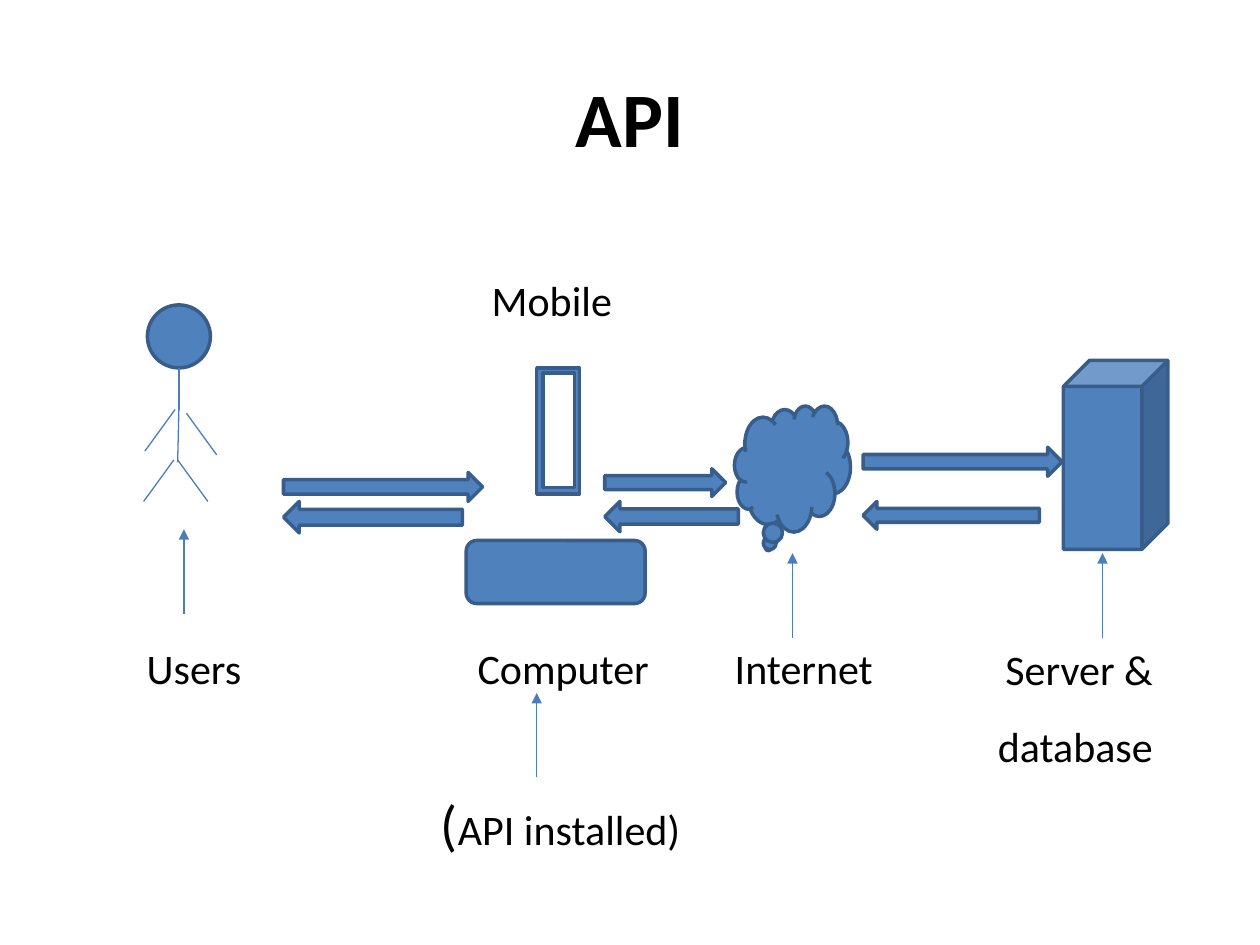
from lxml.etree import SubElement
from pptx import Presentation
from pptx.dml.color import RGBColor
from pptx.enum.shapes import MSO_CONNECTOR, MSO_SHAPE
from pptx.enum.text import MSO_ANCHOR, PP_ALIGN
from pptx.oxml.ns import qn
from pptx.util import Inches, Pt

BLACK = RGBColor(0x00, 0x00, 0x00)
BLUE = RGBColor(0x4F, 0x81, 0xBD)
OUTLINE = RGBColor(0x38, 0x5D, 0x8A)
STROKE = RGBColor(0x4A, 0x7E, 0xBB)


def add_text(page, paragraphs, left, top, width, height,
             size=24, bold=False, align=PP_ALIGN.CENTER, gap=0):
    box = page.shapes.add_textbox(Inches(left), Inches(top), Inches(width), Inches(height))
    frame = box.text_frame
    frame.word_wrap = True
    frame.vertical_anchor = MSO_ANCHOR.MIDDLE
    frame.margin_left = frame.margin_right = frame.margin_top = frame.margin_bottom = 0
    for index, spans in enumerate(paragraphs):
        para = frame.add_paragraph() if index else frame.paragraphs[0]
        para.alignment = align
        if index:
            para.space_before = Pt(gap)
        for text, span_size in spans:
            span = para.add_run()
            span.text = text
            span.font.name = "Calibri"
            span.font.size = Pt(span_size or size)
            span.font.bold = bold
            span.font.color.rgb = BLACK


def paint(shape):
    shape.shadow.inherit = False
    shape.fill.solid()
    shape.fill.fore_color.rgb = BLUE
    shape.line.color.rgb = OUTLINE
    shape.line.width = Pt(2)


def add_solid(page, kind, left, top, width, height, adjustments=()):
    shape = page.shapes.add_shape(
        kind, Inches(left), Inches(top), Inches(width), Inches(height))
    for index, value in enumerate(adjustments):
        shape.adjustments[index] = value
    paint(shape)


def add_line(page, start, end, arrow=False):
    line = page.shapes.add_connector(
        MSO_CONNECTOR.STRAIGHT, *(Inches(value) for value in (*start, *end)))
    line.line.color.rgb = STROKE
    line.line.width = Pt(0.75)
    if arrow:
        SubElement(line.line._get_or_add_ln(), qn("a:tailEnd"), type="triangle")
    SubElement(line._element.spPr, qn("a:effectLst"))


def add_user(page):
    add_solid(page, MSO_SHAPE.OVAL, 1.17, 2.42, 0.5, 0.5)
    limbs = [
        ((1.42, 2.92), (1.42, 3.25)),
        ((1.39, 3.25), (1.15, 3.58)),
        ((1.48, 3.28), (1.72, 3.61)),
        ((1.42, 3.25), (1.41, 3.67)),
        ((1.38, 3.65), (1.14, 3.98)),
        ((1.41, 3.65), (1.65, 3.98)),
    ]
    for start, end in limbs:
        add_line(page, start, end)


def add_mobile(page):
    left, top, right, bottom = (Inches(value) for value in (4.26, 2.92, 4.6, 3.92))
    builder = page.shapes.build_freeform(left, top)
    builder.add_line_segments([(right, top), (right, bottom), (left, bottom)])
    left, top, right, bottom = (Inches(value) for value in (4.31, 2.96, 4.56, 3.87))
    builder.move_to(left, top)
    builder.add_line_segments([(left, bottom), (right, bottom), (right, top)])
    paint(builder.convert_to_shape())


def add_devices(page):
    add_mobile(page)
    add_solid(page, MSO_SHAPE.FLOWCHART_ALTERNATE_PROCESS, 3.7, 4.29, 1.42, 0.5)
    add_solid(page, MSO_SHAPE.CLOUD_CALLOUT, 5.83, 3.22, 0.92, 1, (-0.208, 0.625))
    add_solid(page, MSO_SHAPE.CUBE, 8.44, 2.86, 0.83, 1.5, (0.25,))


def add_flows(page):
    requests = [(2.25, 3.75, 1.58, 0.23), (4.8, 3.72, 0.96, 0.22), (6.85, 3.55, 1.58, 0.23)]
    replies = [(2.25, 1.42, 0.25), (4.8, 1.06, 0.24), (6.85, 1.4, 0.22)]
    for bounds in requests:
        add_solid(page, MSO_SHAPE.RIGHT_ARROW, *bounds)
    for left, width, height in replies:
        add_solid(page, MSO_SHAPE.LEFT_ARROW, left, 3.98, width, height)


def add_labels(page):
    add_text(page, [[("API", None)]], 0.5, 0.3, 9, 1.25, size=44, bold=True)
    width, height = 2, 0.4
    labels = [("Mobile", 4.38, 2.38), ("Users", 1.54, 5.3),
              ("Computer", 4.47, 5.3), ("Internet", 6.38, 5.3)]
    for text, center, middle in labels:
        add_text(page, [[(text, None)]], center - width / 2, middle - height / 2, width, height)
    add_text(page, [[("Server &", None)], [("database", None)]],
             7.15, 5.1, width, 1.02, align=PP_ALIGN.RIGHT, gap=15)
    add_text(page, [[("(", 32), ("API installed)", None)]], 3.2, 6.26, 2.5, 0.54)


def add_pointers(page):
    for center, bottom in ((1.46, 4.87), (4.26, 6.17), (6.29, 5.06), (8.75, 5.06)):
        add_line(page, (center, bottom), (center, bottom - 0.67), arrow=True)


def main():
    deck = Presentation()
    deck.slide_width = Inches(10)
    deck.slide_height = Inches(7.5)
    page = deck.slides.add_slide(deck.slide_layouts[6])
    add_labels(page)
    add_user(page)
    add_devices(page)
    add_pointers(page)
    add_flows(page)
    deck.save("out.pptx")


if __name__ == "__main__":
    main()
